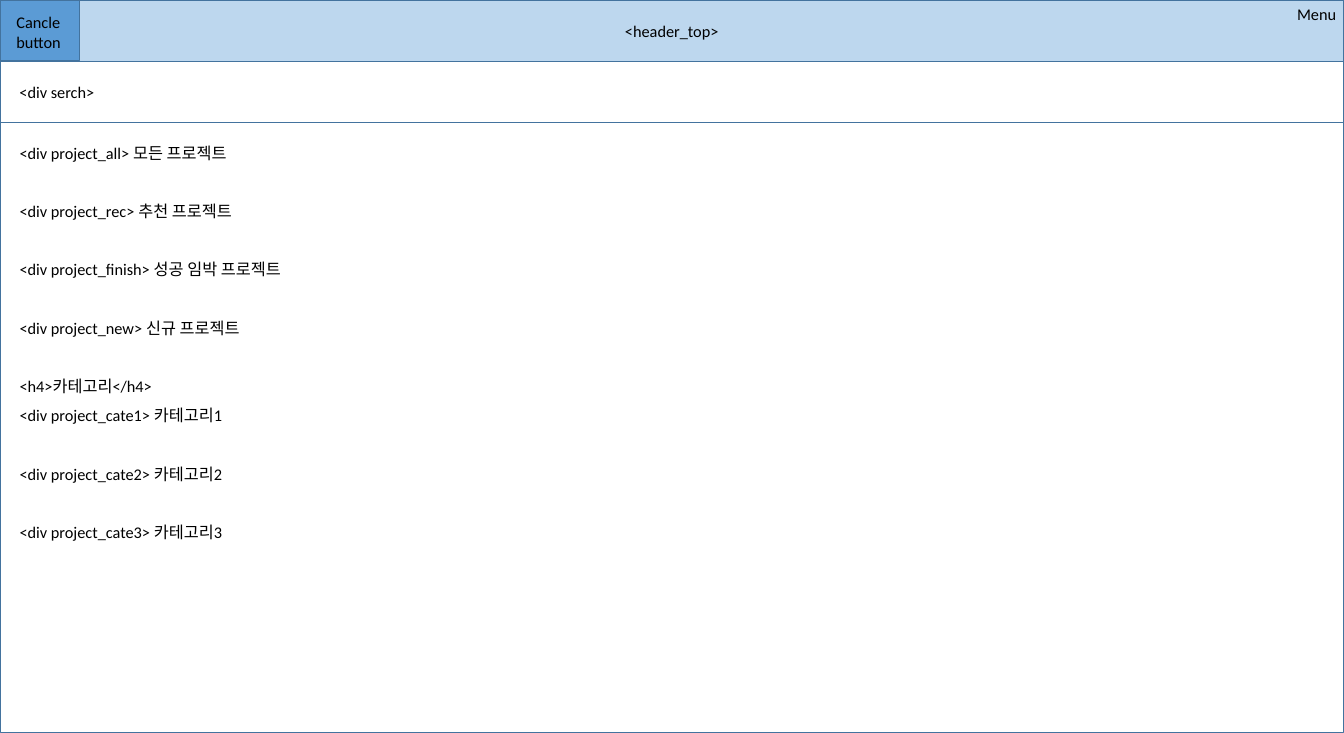
from dataclasses import dataclass

from pptx import Presentation
from pptx.dml.color import RGBColor
from pptx.enum.shapes import MSO_SHAPE
from pptx.enum.text import MSO_ANCHOR, MSO_AUTO_SIZE, PP_ALIGN
from pptx.oxml.xmlchemy import OxmlElement
from pptx.util import Emu, Inches, Pt

SCALE = 914400 / 65.2
WIDTH, BAR, END = 1344, 62, 733
LIST_TOP = 2 * BAR - 1
GAP = 29


@dataclass(frozen=True)
class Theme:
    bar: str = "BDD7EE"
    button: str = "5B9BD5"
    line: str = "43739E"
    text: str = "000000"
    font: str = "Calibri"
    size: int = 18


THEME = Theme()
ROWS = [
    ("<div project_all> 모든 프로젝트", GAP),
    ("<div project_rec> 추천 프로젝트", GAP),
    ("<div project_finish> 성공 임박 프로젝트", GAP),
    ("<div project_new> 신규 프로젝트", GAP),
    ("<h4>카테고리</h4>", 0),
    ("<div project_cate1> 카테고리1", GAP),
    ("<div project_cate2> 카테고리2", GAP),
    ("<div project_cate3> 카테고리3", 0),
]


def px(count):
    return Emu(round(count * SCALE))


def color(code):
    return RGBColor.from_string(code)


def place(shape, box):
    shape.left, shape.top, shape.width, shape.height = map(px, box)


def add_box(slide, box, fill=None, kind=MSO_SHAPE.RECTANGLE):
    shape = slide.shapes.add_shape(kind, *map(px, box))
    shape.shadow.inherit = False
    if fill:
        shape.fill.solid()
        shape.fill.fore_color.rgb = color(fill)
    else:
        shape.fill.background()
    shape.line.color.rgb = color(THEME.line)
    shape.line.width = Pt(1)


def style(frame, align=PP_ALIGN.LEFT):
    for para in frame.paragraphs:
        para.alignment = align
        for run in para.runs:
            run.font.name = THEME.font
            run.font.size = Pt(THEME.size)
            run.font.color.rgb = color(THEME.text)


def add_label(slide, text, box):
    frame = slide.shapes.add_textbox(*map(px, box)).text_frame
    frame.word_wrap = False
    frame.text = text
    style(frame)


def set_title(slide, text, box):
    title = slide.shapes.title
    place(title, box)
    slide.shapes.element.append(title.element)
    frame = title.text_frame
    frame.text = text
    frame.word_wrap = False
    frame.auto_size = MSO_AUTO_SIZE.NONE
    frame.vertical_anchor = MSO_ANCHOR.MIDDLE
    style(frame, PP_ALIGN.CENTER)


def set_list(slide, rows, box):
    body = slide.placeholders[1]
    place(body, box)
    slide.shapes.element.append(body.element)
    frame = body.text_frame
    frame.text = "\n".join(text for text, gap in rows)
    frame.word_wrap = False
    frame.auto_size = MSO_AUTO_SIZE.NONE
    frame.vertical_anchor = MSO_ANCHOR.TOP
    for para, (text, gap) in zip(frame.paragraphs, rows):
        para.line_spacing = 1.5
        para.space_before = Pt(0)
        para.space_after = px(gap)
        props = para._p.get_or_add_pPr()
        props.set("marL", "0")
        props.set("indent", "0")
        props.append(OxmlElement("a:buNone"))
    style(frame)


def main():
    deck = Presentation()
    deck.slide_width, deck.slide_height = Inches(20.62), Inches(11.25)
    slide = deck.slides.add_slide(deck.slide_layouts[1])

    header = (0, 0, WIDTH, BAR)
    add_box(slide, header, THEME.bar)
    add_box(slide, (0, -1, 79, BAR), THEME.button, MSO_SHAPE.ACTION_BUTTON_CUSTOM)
    add_box(slide, header)
    set_title(slide, "<header_top>", (618, 18, 108, 26))
    add_label(slide, "Menu", (1291, 1, 53, 26))
    add_label(slide, "Cancle\nbutton", (10, 9, 59, 46))

    add_box(slide, (0, BAR, WIDTH, LIST_TOP - BAR))
    add_box(slide, (0, LIST_TOP, WIDTH, END - LIST_TOP))
    add_label(slide, "<div serch>", (13, 79, 89, 26))
    set_list(slide, ROWS, (13, 130, 288, 418))

    deck.save("out.pptx")


main()
